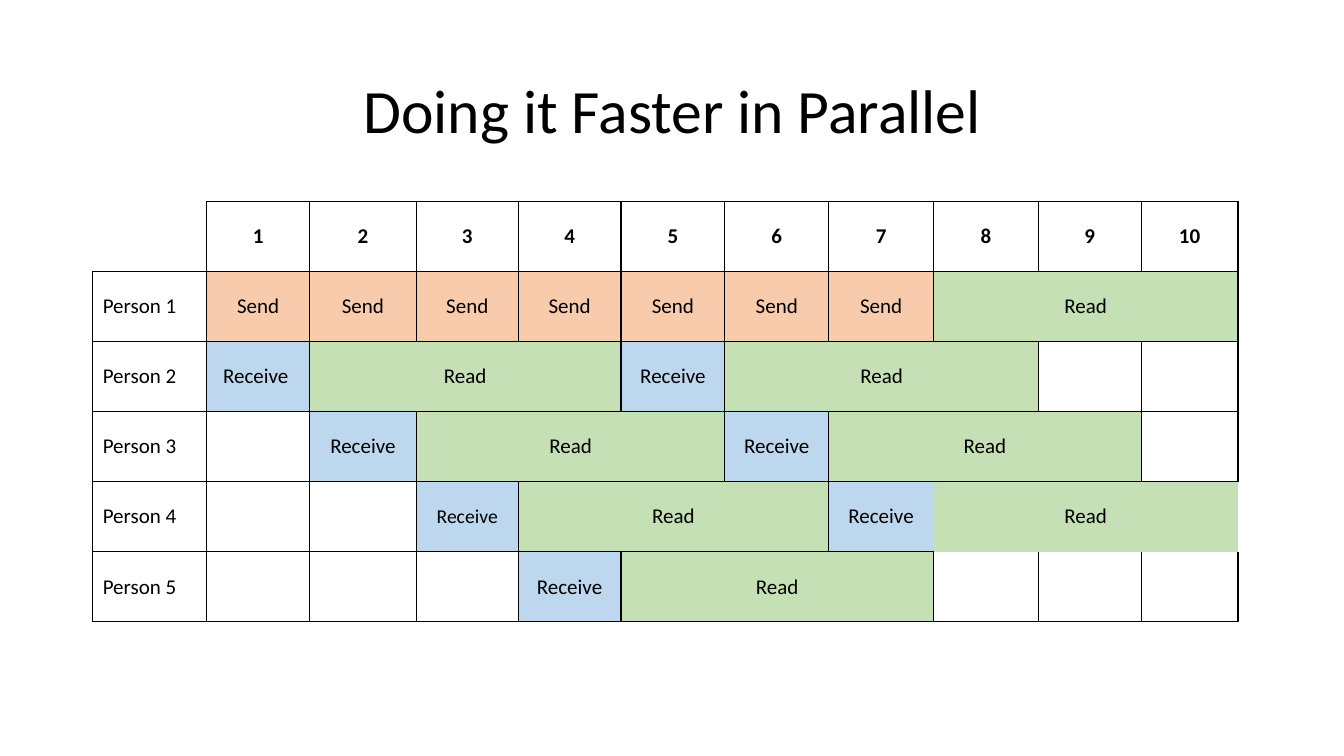
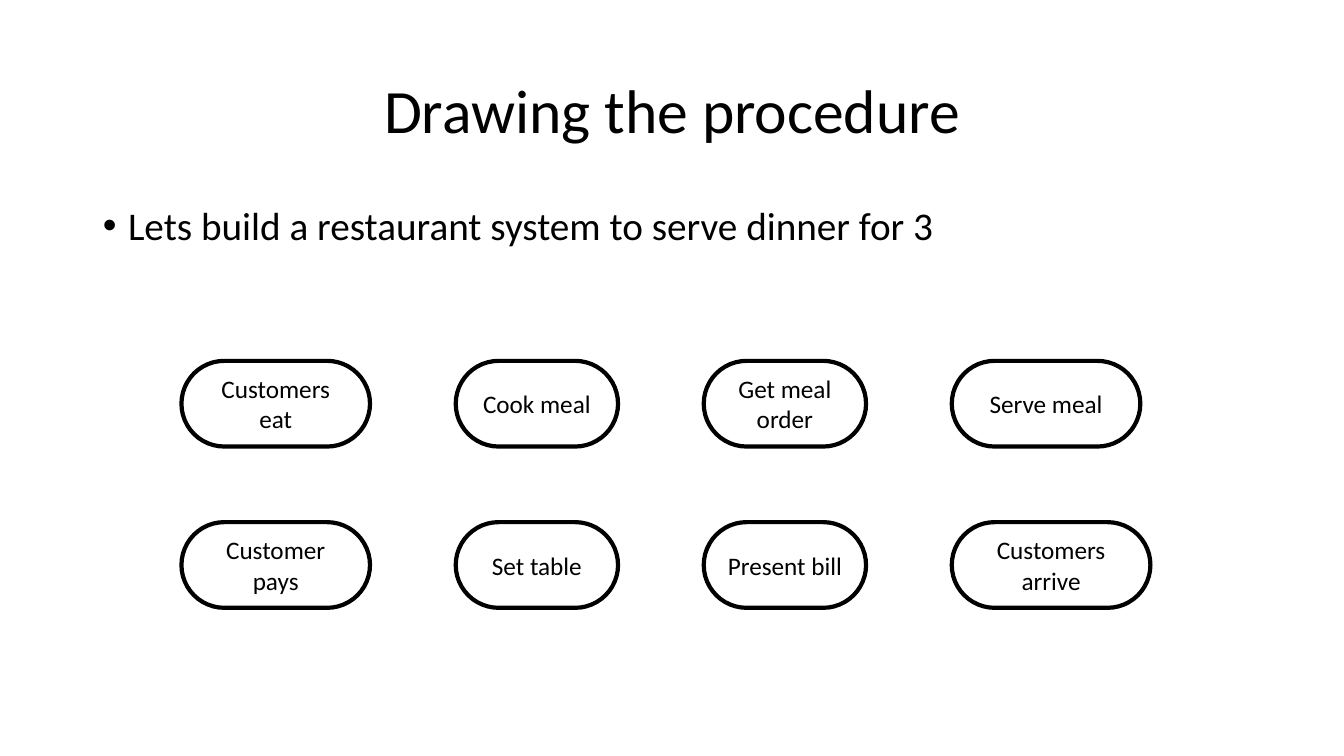
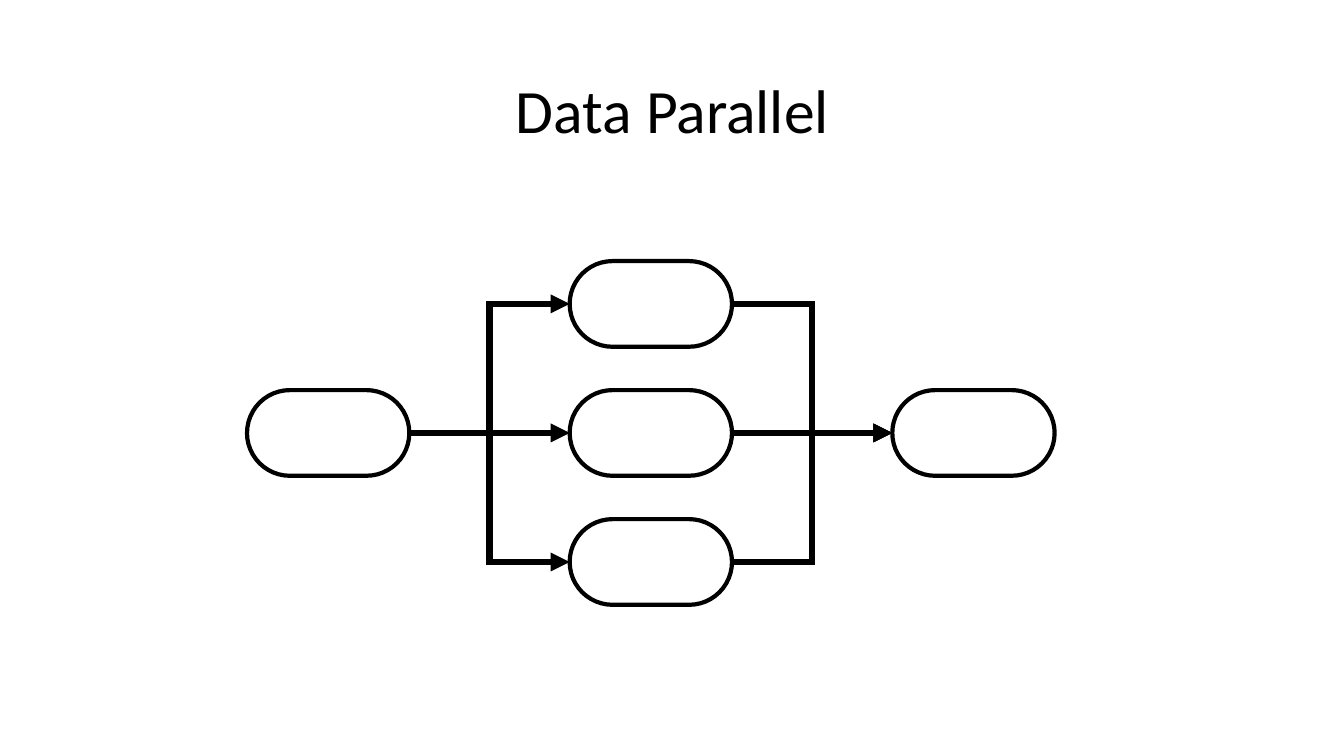
from lxml import etree
from pptx import Presentation
from pptx.dml.color import RGBColor
from pptx.enum.shapes import MSO_CONNECTOR, MSO_SHAPE
from pptx.enum.text import MSO_ANCHOR, MSO_AUTO_SIZE, PP_ALIGN
from pptx.oxml.ns import qn
from pptx.util import Inches, Pt

BLACK = RGBColor(0x00, 0x00, 0x00)
WHITE = RGBColor(0xFF, 0xFF, 0xFF)
ORANGE = RGBColor(0xF8, 0xCB, 0xAD)
BLUE = RGBColor(0xBD, 0xD7, 0xEE)
GREEN = RGBColor(0xC5, 0xE0, 0xB4)
FONT = "Calibri"
CENTER, LEFT = PP_ALIGN.CENTER, PP_ALIGN.LEFT
MIDDLE = MSO_ANCHOR.MIDDLE
NO_AUTOFIT = MSO_AUTO_SIZE.NONE
PILL = MSO_SHAPE.ROUNDED_RECTANGLE
STRAIGHT, ELBOW = MSO_CONNECTOR.STRAIGHT, MSO_CONNECTOR.ELBOW
PILL_WIDTH, PILL_HEIGHT = 1.61, 0.85
LEFT_SITE, RIGHT_SITE = 1, 3
CONTENT_LAYOUT, TITLE_LAYOUT = 1, 5


def add_span(para, text, size, bold=False):
    """Add one run of text in the deck's font."""
    span = para.add_run()
    span.text = text
    span.font.name = FONT
    span.font.size = Pt(size)
    span.font.bold = bold
    span.font.color.rgb = BLACK


def add_pill(slide, left, top, width=PILL_WIDTH, text=""):
    """Add an outlined, fully rounded step of the procedure."""
    pill = slide.shapes.add_shape(
        PILL, Inches(left), Inches(top), Inches(width), Inches(PILL_HEIGHT))
    pill.adjustments[0] = 0.5
    pill.shadow.inherit = False
    pill.fill.background()
    pill.line.color.rgb = BLACK
    pill.line.width = Pt(3)
    if text:
        pill.text_frame.word_wrap = True
        pill.text_frame.vertical_anchor = MIDDLE
        para = pill.text_frame.paragraphs[0]
        para.alignment = CENTER
        add_span(para, text, 18)
    return pill


deck = Presentation()
deck.slide_width, deck.slide_height = Inches(13.33), Inches(7.5)

# Slides and titles
slides = []
for heading, layout in (
    ("Doing it Faster in Parallel", TITLE_LAYOUT),
    ("Drawing the procedure", CONTENT_LAYOUT),
    ("Data Parallel", TITLE_LAYOUT),
):
    slide = deck.slides.add_slide(deck.slide_layouts[layout])
    title = slide.shapes.title
    title.left, title.top = Inches(0.92), Inches(0.4)
    title.width, title.height = Inches(11.5), Inches(1.45)
    title.text_frame.vertical_anchor = MIDDLE
    title.text_frame.auto_size = NO_AUTOFIT
    para = title.text_frame.paragraphs[0]
    para.alignment = CENTER
    para.line_spacing = 0.9
    add_span(para, heading, 44)
    slides.append(slide)
schedule_slide, procedure_slide, parallel_slide = slides

# Schedule table
COLUMN_WIDTHS = [1.13, 1.02, 1.06, 1.01, 1.02, 1.03, 1.03, 1.04, 1.04, 1.02, 0.96]
TASKS = {"Send": (ORANGE, 1), "Receive": (BLUE, 1), "Read": (GREEN, 3)}
SCHEDULE = [
    [(step, "Send") for step in range(1, 8)] + [(8, "Read")],
    [(1, "Receive "), (2, "Read"), (5, "Receive"), (6, "Read")],
    [(2, "Receive"), (3, "Read"), (6, "Receive"), (7, "Read")],
    [(3, "Receive"), (4, "Read"), (7, "Receive"), (8, "Read")],
    [(4, "Receive"), (5, "Read")],
]
SMALL_TEXT = {(4, 3)}
BORDER, HAIRLINE = 0.96, 0.06
OPEN_EDGES = {(3, 10): "B", (4, 7): "R"}
OPEN_EDGES.update({(5, column): "T" for column in (8, 9, 10)})
HAIRLINE_CELLS = {(4, column) for column in (8, 9, 10)}

table = schedule_slide.shapes.add_table(
    len(SCHEDULE) + 1, len(COLUMN_WIDTHS),
    Inches(0.92), Inches(2), Inches(11.37), Inches(4.17)).table
table.first_row = False
table.horz_banding = False
for column, width in zip(table.columns, COLUMN_WIDTHS):
    column.width = Inches(width)

for row in range(len(table.rows)):
    for column in range(len(table.columns)):
        cell = table.cell(row, column)
        cell.vertical_anchor = MIDDLE
        cell.fill.background()
        hairline = (row, column) in HAIRLINE_CELLS
        open_edges = "R" if hairline else OPEN_EDGES.get((row, column), "")
        properties = cell._tc.get_or_add_tcPr()
        for index, edge in enumerate("LRTB"):
            border = etree.Element(qn("a:ln" + edge))
            properties.insert(index, border)
            if edge in open_edges:
                etree.SubElement(border, qn("a:noFill"))
                continue
            border.set("w", str(Pt(HAIRLINE if hairline else BORDER)))
            color = WHITE if row == column == 0 and edge in "LT" else BLACK
            fill = etree.SubElement(border, qn("a:solidFill"))
            etree.SubElement(fill, qn("a:srgbClr")).set("val", str(color))

for step in range(1, len(COLUMN_WIDTHS)):
    para = table.cell(0, step).text_frame.paragraphs[0]
    para.alignment = CENTER
    add_span(para, str(step), 15, bold=True)

for row, tasks in enumerate(SCHEDULE, start=1):
    para = table.cell(row, 0).text_frame.paragraphs[0]
    para.alignment = LEFT
    add_span(para, f"Person {row}", 15)
    for step, task in tasks:
        color, duration = TASKS[task.strip()]
        cell = table.cell(row, step)
        if duration > 1:
            cell.merge(table.cell(row, step + duration - 1))
        cell.fill.solid()
        cell.fill.fore_color.rgb = color
        para = cell.text_frame.paragraphs[0]
        para.alignment = CENTER
        add_span(para, task, 14 if (row, step) in SMALL_TEXT else 15)

# Restaurant procedure
body = procedure_slide.placeholders[1]
body.left, body.top = Inches(0.92), Inches(2)
body.width, body.height = Inches(11.5), Inches(4.76)
body.text_frame.auto_size = NO_AUTOFIT
para = body.text_frame.paragraphs[0]
para.line_spacing = 0.9
para.space_before = Pt(10)
paragraph_properties = para._p.get_or_add_pPr()
paragraph_properties.set("marL", str(Inches(0.25)))
paragraph_properties.set("indent", str(Inches(-0.25)))
add_span(para, "Lets build a restaurant system to serve dinner for 3", 28)

STEP_GAP = 0.85
STEP_ROWS = [
    (3.58, [("Customers eat", 1.87), ("Cook meal", PILL_WIDTH),
            ("Get meal order", PILL_WIDTH), ("Serve meal", 1.87)]),
    (5.18, [("Customer pays", 1.87), ("Set table", PILL_WIDTH),
            ("Present bill", PILL_WIDTH), ("Customers arrive", 1.97)]),
]
for top, steps in STEP_ROWS:
    left = 1.8
    for text, width in steps:
        add_pill(procedure_slide, left, top, width, text)
        left += width + STEP_GAP

# Data-parallel flow
FLOW_LEFT, FLOW_TOP = 2.45, 2.59
COLUMN_PITCH, ROW_PITCH = 3.2, 1.28
middle_top = FLOW_TOP + ROW_PITCH
source = add_pill(parallel_slide, FLOW_LEFT, middle_top)
workers = [add_pill(parallel_slide, FLOW_LEFT + COLUMN_PITCH, FLOW_TOP + row * ROW_PITCH)
           for row in range(3)]
sink = add_pill(parallel_slide, FLOW_LEFT + 2 * COLUMN_PITCH, middle_top)

links = [(source, worker) for worker in workers] + [(worker, sink) for worker in workers]
for start, end in links:
    kind = STRAIGHT if start.top == end.top else ELBOW
    arrow = parallel_slide.shapes.add_connector(kind, 0, 0, 0, 0)
    arrow.begin_connect(start, RIGHT_SITE)
    arrow.end_connect(end, LEFT_SITE)
    arrow.line.color.rgb = BLACK
    arrow.line.width = Pt(4.5)
    shape_properties = arrow._element.spPr
    line = shape_properties.find(qn("a:ln"))
    etree.SubElement(line, qn("a:miter")).set("lim", "800000")
    etree.SubElement(line, qn("a:tailEnd")).set("type", "triangle")
    etree.SubElement(shape_properties, qn("a:effectLst"))

deck.save("out.pptx")
